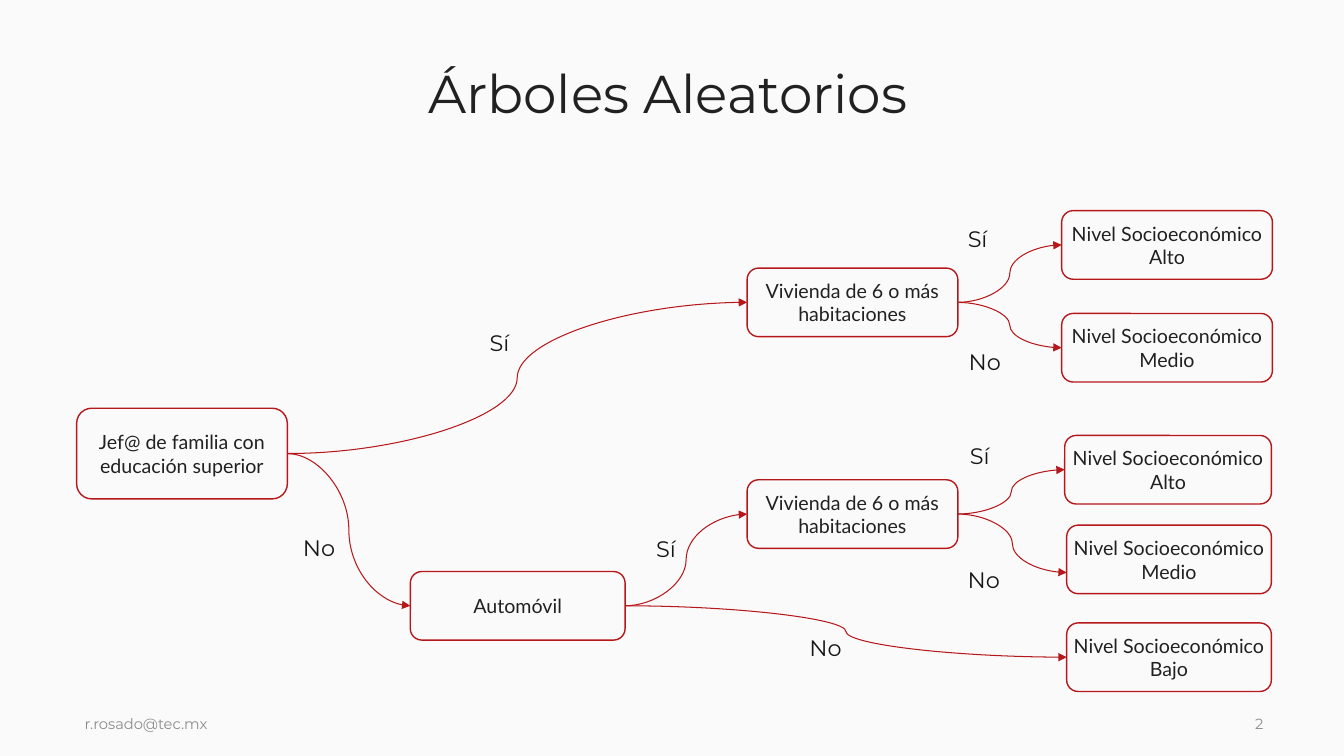
"""Build the slide with the decision tree on socioeconomic level."""
from lxml import etree
from pptx import Presentation
from pptx.dml.color import RGBColor
from pptx.enum.shapes import MSO_CONNECTOR, MSO_SHAPE
from pptx.enum.text import MSO_ANCHOR, MSO_AUTO_SIZE, PP_ALIGN
from pptx.oxml.ns import qn
from pptx.util import Pt

ROUNDED = MSO_SHAPE.ROUNDED_RECTANGLE
CURVE = MSO_CONNECTOR.CURVE
MIDDLE = MSO_ANCHOR.MIDDLE
NO_AUTOFIT = MSO_AUTO_SIZE.NONE
LEFT, CENTER = PP_ALIGN.LEFT, PP_ALIGN.CENTER
LEFT_SITE, RIGHT_SITE = 1, 3
PX = 9144

COLORS = {
    "paper": "FAFAFA",
    "branch": "B6171A",
    "ink": "212121",
    "answer": "171616",
    "footer": "8D8D8D",
}
STYLES = {
    "title": {"name": "Montserrat", "size": Pt(38), "color": "ink"},
    "node": {"name": "Lato", "size": Pt(14), "color": "ink"},
    "answer": {"name": "Montserrat", "size": Pt(16), "color": "answer"},
    "footer": {"name": "Montserrat", "size": Pt(10.5), "color": "footer"},
}


def rgb(role):
    return RGBColor.from_string(COLORS[role])


def write(holder, text, style, align, insets=(10, 5, 10, 5)):
    frame = holder.text_frame
    margins = ("margin_left", "margin_top", "margin_right", "margin_bottom")
    frame_format = {"word_wrap": True, "auto_size": NO_AUTOFIT, "vertical_anchor": MIDDLE}
    frame_format.update(zip(margins, (inset * PX for inset in insets)))
    for attribute, value in frame_format.items():
        setattr(frame, attribute, value)
    paragraph = frame.paragraphs[0]
    paragraph.text = text
    paragraph.alignment = align
    for attribute in ("name", "size"):
        setattr(paragraph.runs[0].font, attribute, STYLES[style][attribute])
    paragraph.runs[0].font.color.rgb = rgb(STYLES[style]["color"])
    return paragraph


deck = Presentation()
deck.slide_width, deck.slide_height = 1333 * PX, 750 * PX
slide = deck.slides.add_slide(deck.slide_layouts[5])
slide.background.fill.solid()
slide.background.fill.fore_color.rgb = rgb("paper")

title = slide.shapes.title
title_place = {"left": 64, "top": 51, "width": 1197, "height": 89}
for attribute, length in title_place.items():
    setattr(title, attribute, length * PX)
write(title, "Árboles Aleatorios", "title", CENTER).line_spacing = 0.9

HOUSING = "Vivienda de 6 o más habitaciones"
LEVEL = "Nivel Socioeconómico "
QUESTION_INSETS, LEVEL_INSETS = (10, 5, 10, 5), (0, 5, 0, 5)
nodes = {
    "family": ("Jef@ de familia con educación superior", 76, 405, 209, 90, QUESTION_INSETS),
    "upper housing": (HOUSING, 741, 266, 209, 68, QUESTION_INSETS),
    "car": ("Automóvil", 407, 567, 213, 68, QUESTION_INSETS),
    "lower housing": (HOUSING, 741, 476, 209, 68, QUESTION_INSETS),
    "upper high": (LEVEL + "Alto", 1053, 209, 209, 68, LEVEL_INSETS),
    "upper middle": (LEVEL + "Medio", 1053, 311, 209, 68, LEVEL_INSETS),
    "lower high": (LEVEL + "Alto", 1056, 432, 205, 68, LEVEL_INSETS),
    "lower middle": (LEVEL + "Medio", 1058, 521, 203, 68, LEVEL_INSETS),
    "low": (LEVEL + "Bajo", 1058, 618, 203, 68, LEVEL_INSETS),
}
boxes = {}
for node, (text, left, top, width, height, insets) in nodes.items():
    box = slide.shapes.add_shape(ROUNDED, left * PX, top * PX, width * PX, height * PX)
    box.shadow.inherit = False
    box.fill.solid()
    box.fill.fore_color.rgb = rgb("paper")
    box.line.color.rgb = rgb("branch")
    box.line.width = Pt(1)
    write(box, text, "node", CENTER, insets)
    boxes[node] = box

branches = [
    ("family", "car"),
    ("family", "upper housing"),
    ("upper housing", "upper high"),
    ("upper housing", "upper middle"),
    ("car", "lower housing"),
    ("car", "low"),
    ("lower housing", "lower high"),
    ("lower housing", "lower middle"),
]
for parent, child in branches:
    branch = slide.shapes.add_connector(CURVE, 0, 0, 1058 * PX, 568 * PX)
    branch.begin_connect(boxes[parent], RIGHT_SITE)
    if child != "lower middle":
        branch.end_connect(boxes[child], LEFT_SITE)
    branch.line.color.rgb = rgb("branch")
    branch.line.width = Pt(0.75)
    etree.SubElement(branch.line._get_or_add_ln(), qn("a:tailEnd"), type="triangle")
    etree.SubElement(branch._element.spPr, qn("a:effectLst"))

ANSWER_INSETS = (10, 0, 0, 0)
captions = [
    ("Sí", 464, 308, 53, 63, "answer", CENTER, ANSWER_INSETS),
    ("No", 285, 512, 53, 63, "answer", CENTER, ANSWER_INSETS),
    ("Sí", 950, 214, 62, 46, "answer", LEFT, ANSWER_INSETS),
    ("No", 951, 327, 94, 63, "answer", LEFT, ANSWER_INSETS),
    ("Sí", 641, 521, 62, 46, "answer", LEFT, ANSWER_INSETS),
    ("No", 793, 611, 94, 63, "answer", LEFT, ANSWER_INSETS),
    ("Sí", 952, 429, 62, 46, "answer", LEFT, ANSWER_INSETS),
    ("No", 950, 543, 94, 63, "answer", LEFT, ANSWER_INSETS),
    ("r.rosado@tec.mx", 74, 686, 766, 64, "footer", LEFT, QUESTION_INSETS),
    ("2", 1235, 686, 39, 64, "footer", LEFT, QUESTION_INSETS),
]
for text, left, top, width, height, style, align, insets in captions:
    caption = slide.shapes.add_textbox(left * PX, top * PX, width * PX, height * PX)
    write(caption, text, style, align, insets)

deck.save("out.pptx")
